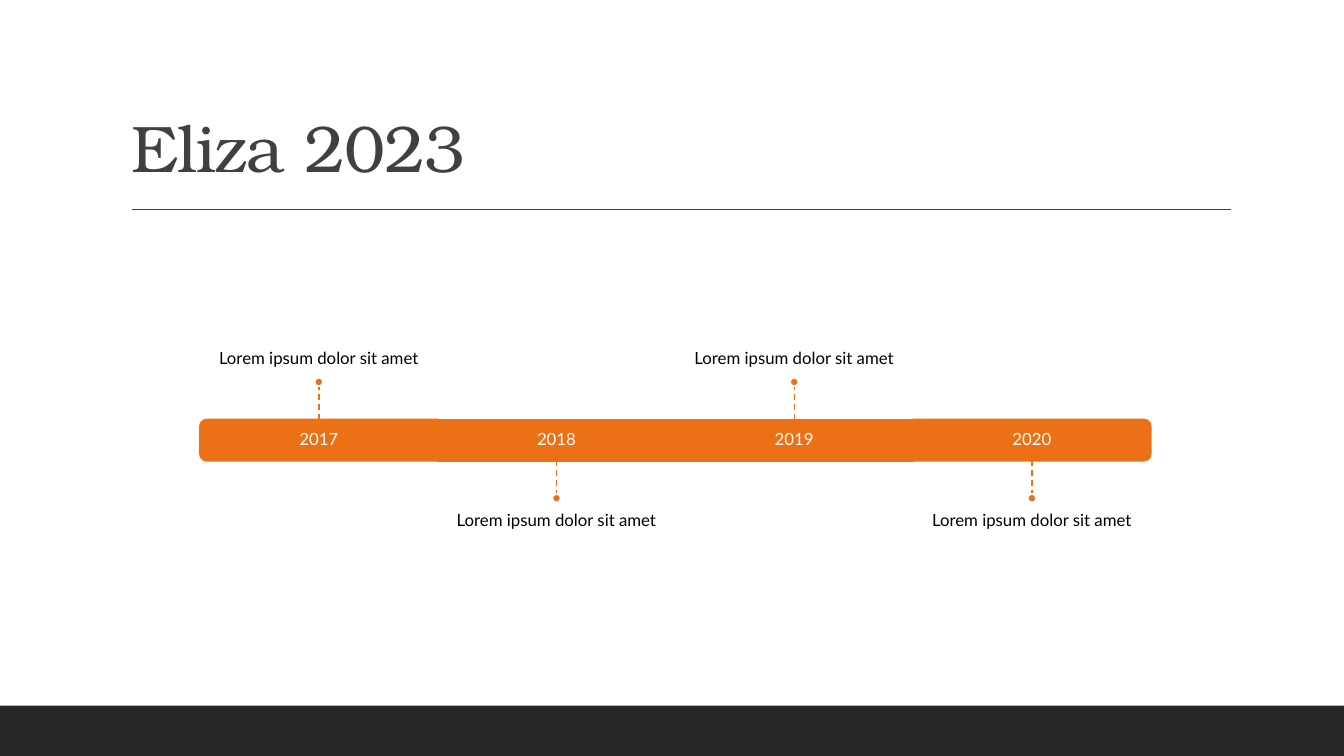
import pptx
import pptx.dml.color
import pptx.enum.dml
import pptx.enum.shapes
import pptx.enum.text
import pptx.oxml.ns
import pptx.util
import lxml.etree

Cm = pptx.util.Cm
Pt = pptx.util.Pt
SHAPE = pptx.enum.shapes.MSO_SHAPE
STRAIGHT = pptx.enum.shapes.MSO_CONNECTOR.STRAIGHT
ANCHOR = pptx.enum.text.MSO_ANCHOR
ALIGN = pptx.enum.text.PP_ALIGN

ORANGE, WHITE, BLACK = "EC7016", "FFFFFF", "000000"
CHARCOAL, GRAPHITE = "262626", "404040"


def paint(color_format, hex_color):
    """Set a fill, line fill or font fill to one solid colour."""
    color_format.solid()
    color_format.fore_color.rgb = pptx.dml.color.RGBColor.from_string(hex_color)


def write(frame, text, font, size, color, align, anchor):
    """Fill a text frame with one wrapped paragraph and return its run."""
    frame.word_wrap = True
    frame.auto_size = pptx.enum.text.MSO_AUTO_SIZE.NONE
    frame.vertical_anchor = anchor
    paragraph = frame.paragraphs[0]
    paragraph.alignment = align
    paragraph.line_spacing = 0.9
    run = paragraph.add_run()
    run.text = text
    run.font.name = font
    run.font.size = Pt(size)
    paint(run.font.fill, color)
    return run


deck = pptx.Presentation()
deck.slide_width, deck.slide_height = Cm(33.87), Cm(19.05)
slide = deck.slides.add_slide(deck.slide_layouts[5])
shapes = slide.shapes

# Title with its rule, and the footer band
title = shapes.title
title.left, title.top, title.width, title.height = Cm(3.05), Cm(0.79), Cm(27.94), Cm(4.04)
title_run = write(title.text_frame, "Eliza 2023", "TeX Gyre Bonum", 47, GRAPHITE,
                  ALIGN.LEFT, ANCHOR.BOTTOM)
title_run._r.get_or_add_rPr().set("spc", "-50")

footer = shapes.add_shape(SHAPE.RECTANGLE, 0, Cm(17.78), deck.slide_width, Cm(1.27))
footer.shadow.inherit = False
paint(footer.fill, CHARCOAL)
footer.line.fill.background()

title_rule = shapes.add_connector(STRAIGHT, Cm(3.33), Cm(5.28), Cm(31.01), Cm(5.28))
paint(title_rule.line.fill, GRAPHITE)
title_rule.line.width = Pt(1)
connectors = [title_rule]

# Timeline: one bar segment per year, notes alternating above and below
milestones = [
    ("2017", "Lorem ipsum dolor sit amet"),
    ("2018", "Lorem ipsum dolor sit amet"),
    ("2019", "Lorem ipsum dolor sit amet"),
    ("2020", "Lorem ipsum dolor sit amet"),
]
bar_left, bar_top = 5.04, 10.57
segment_width, bar_height = 5.99, 1.04
stem_length, dot_size = 0.84, 0.21
note_width, note_height = 9.98, 3.68
end_rotations = {0: 270, len(milestones) - 1: 90}

for index, (year, note) in enumerate(milestones):
    left = bar_left + index * segment_width
    center = left + segment_width / 2
    above = index % 2 == 0

    if index in end_rotations:
        middle = bar_top + bar_height / 2
        segment = shapes.add_shape(
            SHAPE.ROUND_2_SAME_RECTANGLE, Cm(center - bar_height / 2),
            Cm(middle - segment_width / 2), Cm(bar_height), Cm(segment_width))
        segment.rotation = end_rotations[index]
    else:
        segment = shapes.add_shape(SHAPE.RECTANGLE, Cm(left), Cm(bar_top),
                                   Cm(segment_width), Cm(bar_height))
    segment.shadow.inherit = False
    paint(segment.fill, ORANGE)
    paint(segment.line.fill, ORANGE)
    segment.line.width = Pt(1.25)

    year_box = shapes.add_textbox(Cm(left), Cm(bar_top), Cm(segment_width), Cm(bar_height))
    write(year_box.text_frame, year, "Lato", 12, WHITE, ALIGN.CENTER, ANCHOR.MIDDLE)

    if above:
        stem_start, stem_end = bar_top, bar_top - stem_length
        dot_top = stem_end - dot_size
        note_top = dot_top - note_height
    else:
        stem_start = bar_top + bar_height
        stem_end = dot_top = stem_start + stem_length
        note_top = dot_top + dot_size

    note_box = shapes.add_textbox(Cm(center - note_width / 2), Cm(note_top),
                                  Cm(note_width), Cm(note_height))
    note_frame = note_box.text_frame
    note_frame.margin_left = note_frame.margin_right = 0
    note_frame.margin_top = Cm(0 if above else 0.25)
    note_frame.margin_bottom = Cm(0.25 if above else 0)
    write(note_frame, note, "Lato", 12, BLACK, ALIGN.CENTER,
          ANCHOR.BOTTOM if above else ANCHOR.TOP)

    stem = shapes.add_connector(STRAIGHT, Cm(center), Cm(stem_start), Cm(center), Cm(stem_end))
    if index not in end_rotations:
        stem.begin_connect(segment, 0 if above else 2)
    paint(stem.line.fill, ORANGE)
    stem.line.width = Pt(1)
    stem.line.dash_style = pptx.enum.dml.MSO_LINE.DASH
    connectors.append(stem)

    dot = shapes.add_shape(SHAPE.OVAL, Cm(center - dot_size / 2), Cm(dot_top),
                           Cm(dot_size), Cm(dot_size))
    dot.shadow.inherit = False
    paint(dot.fill, ORANGE)
    paint(dot.line.fill, WHITE)
    dot.line.width = Pt(1.25)

for connector in connectors:
    lxml.etree.SubElement(connector._element.spPr, pptx.oxml.ns.qn("a:effectLst"))

deck.save("out.pptx")
